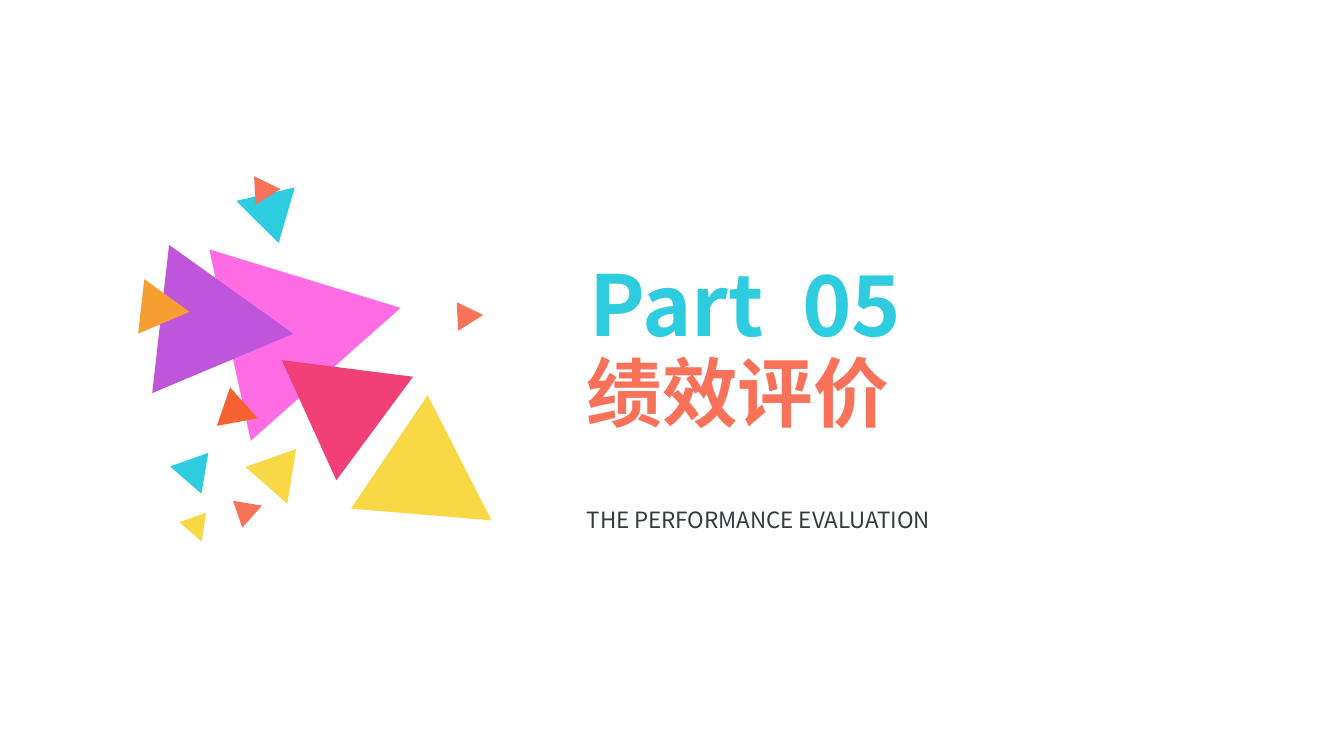
from pptx import Presentation
from pptx.dml.color import RGBColor
from pptx.enum.text import MSO_ANCHOR, MSO_AUTO_SIZE
from pptx.oxml.ns import qn
from pptx.util import Inches, Pt
from lxml import etree

MIDDLE = MSO_ANCHOR.MIDDLE
NO_FIT = MSO_AUTO_SIZE.NONE
FONT = "Noto Sans CJK SC"
COLORS = {
    "cyan": "2DCCDF", "pink": "FF6CE4", "purple": "BF55DB",
    "amber": "F59E32", "orange": "F56130", "yellow": "F8D845",
    "coral": "F77258", "rose": "F04077", "ink": "353A3E",
}

deck = Presentation()
deck.slide_width, deck.slide_height = Inches(13.33), Inches(7.5)
slide = deck.slides.add_slide(deck.slide_layouts[6])

# Confetti: one triangle, scaled and turned (left, top, width, height, angle)
CORNERS = [(0, 1), (0.12, 0), (1, 0.6)]
confetti = [
    (2.33, 1.81, 0.55, 0.57, 189.6, "cyan"),
    (2.13, 2.20, 1.83, 1.93, 341.3, "pink"),
    (1.51, 2.43, 1.40, 1.47, 0, "purple"),
    (1.37, 2.77, 0.51, 0.54, 0, "amber"),
    (2.19, 3.87, 0.38, 0.40, 12.4, "orange"),
    (1.76, 4.51, 0.38, 0.40, 63.9, "cyan"),
    (1.83, 5.10, 0.27, 0.28, 63.9, "yellow"),
    (2.33, 4.91, 0.27, 0.28, 334.3, "coral"),
    (2.53, 4.48, 0.51, 0.53, 63.9, "yellow"),
    (3.72, 4.07, 1.29, 1.35, 27.5, "yellow"),
    (2.65, 3.35, 1.21, 1.27, 210, "rose"),
    (4.52, 2.98, 0.27, 0.28, 350.4, "coral"),
    (2.51, 1.73, 0.27, 0.28, 350.4, "coral"),
]
for left, top, width, height, angle, color in confetti:
    points = [(Inches(left + x * width), Inches(top + y * height))
              for x, y in CORNERS]
    path = slide.shapes.build_freeform(*points[0])
    path.add_line_segments(points[1:], close=True)
    shard = path.convert_to_shape()
    shard.rotation = angle
    shard.shadow.inherit = False
    shard.fill.solid()
    shard.fill.fore_color.rgb = RGBColor.from_string(COLORS[color])
    shard.line.fill.background()

# Titles: left, top, width, height, text, size, bold, color
titles = [
    (5.75, 2.45, 4.5, 1.11, "Part  05", 60, True, "cyan"),
    (5.72, 3.38, 7.08, 1.01, "绩效评价", 54, True, "coral"),
    (5.72, 4.97, 6.62, 0.37, "THE PERFORMANCE EVALUATION", 16, False, "ink"),
]
for left, top, width, height, text, size, bold, color in titles:
    box = slide.shapes.add_textbox(
        Inches(left), Inches(top), Inches(width), Inches(height))
    frame = box.text_frame
    frame.word_wrap = True
    frame.auto_size = NO_FIT
    frame.vertical_anchor = MIDDLE
    run = frame.paragraphs[0].add_run()
    run.text = text
    run.font.name = FONT
    run.font.size = Pt(size)
    run.font.bold = bold
    run.font.color.rgb = RGBColor.from_string(COLORS[color])
    # East Asian letters take the same font
    east = etree.SubElement(run.font._element, qn("a:ea"))
    east.set("typeface", FONT)

deck.save("out.pptx")
